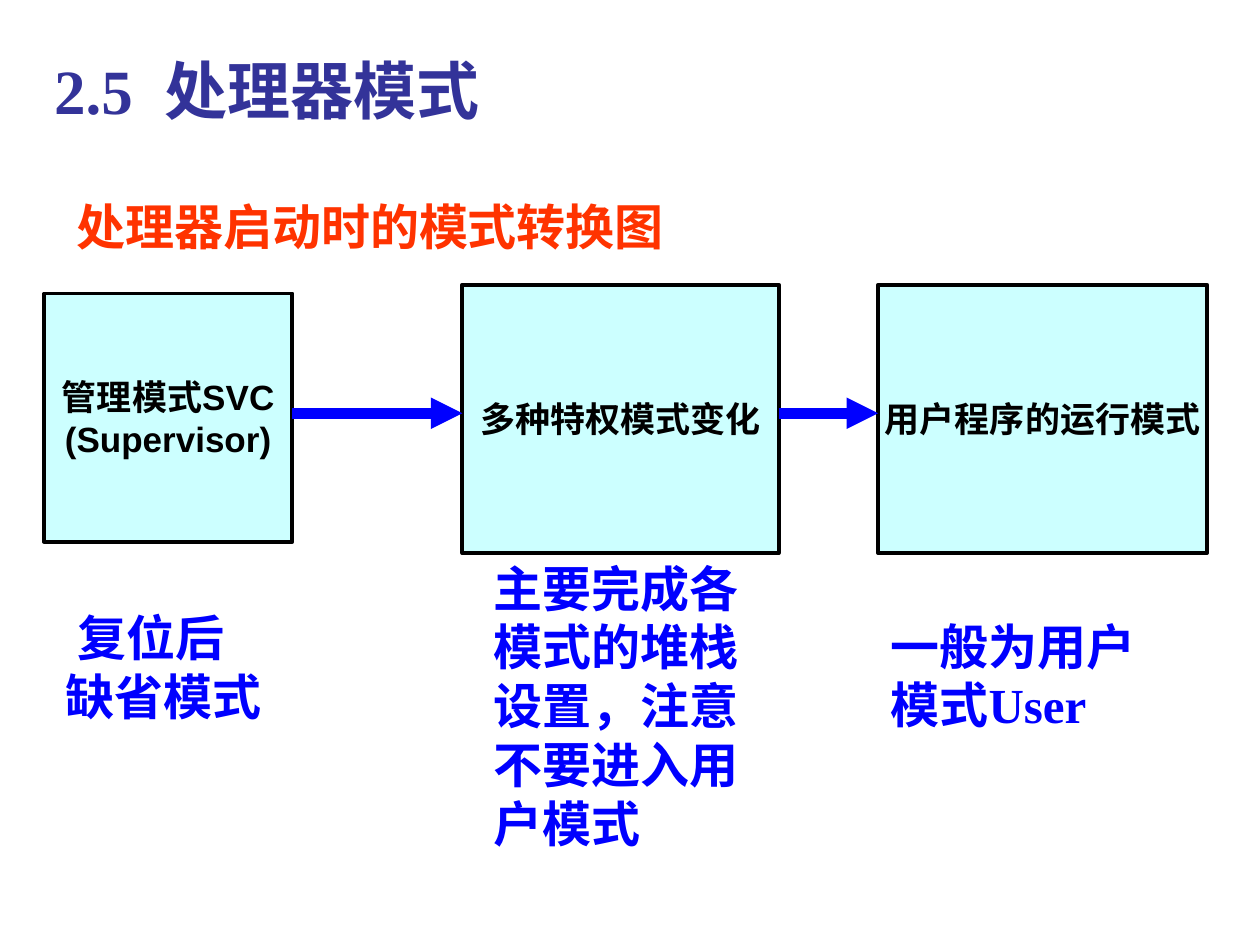
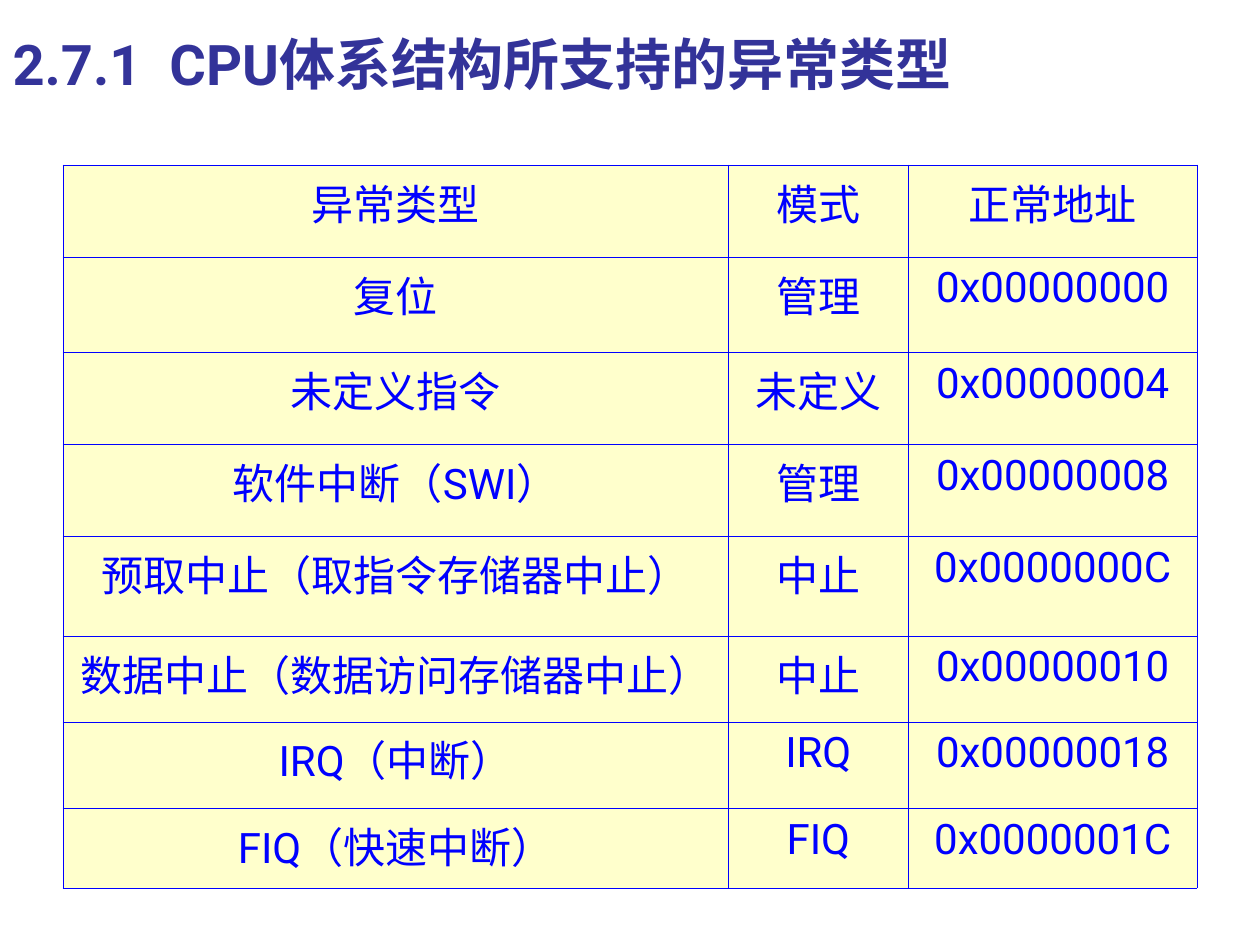
import pptx
import pptx.util
import pptx.dml.color
import pptx.enum.lang
import pptx.enum.shapes
import pptx.enum.text
import pptx.oxml
import pptx.oxml.ns
import pptx.oxml.xmlchemy

Inches = pptx.util.Inches
Pt = pptx.util.Pt
ALIGN = pptx.enum.text.PP_ALIGN
ANCHOR = pptx.enum.text.MSO_ANCHOR

# Shared colours
TITLE_COLOUR = "333399"
BLUE = "0000FF"
RED = "FF3300"
BLACK = "000000"
BOX_FILL = "CCFFFF"
CELL_FILL = "FFFFCC"

# Slide 1: start-up modes
MODES_TITLE = "2.5  处理器模式"
MODES_HEADING = "处理器启动时的模式转换图"
MODE_BOXES = [  # left, top, width, height, lines
    (0.35, 2.33, 1.97, 1.97, ["管理模式SVC", "(Supervisor)"]),
    (3.67, 2.26, 2.51, 2.13, ["多种特权模式变化"]),
    (6.97, 2.26, 2.61, 2.13, ["用户程序的运行模式"]),
]
MODE_NOTES = [  # left, top, width, height, lines, first line indent
    (0.42, 4.77, 1.81, 1.04, ["复位后", "缺省模式"], 0.1),
    (3.82, 4.38, 2.21, 2.44, ["主要完成各模式的堆栈设置，注意不要进入用户模式"], 0),
    (6.97, 4.84, 2.52, 1.04, ["一般为用户模式User"], 0),
]
ARROW_Y = 3.28

# Slide 2: exception types
EXCEPTIONS_TITLE = "2.7.1  CPU体系结构所支持的异常类型"
EXCEPTIONS = [
    ("异常类型", "模式", "正常地址"),
    ("复位", "管理", "0x00000000"),
    ("未定义指令", "未定义", "0x00000004"),
    ("软件中断（SWI）", "管理", "0x00000008"),
    ("预取中止（取指令存储器中止）", "中止", "0x0000000C"),
    ("数据中止（数据访问存储器中止）", "中止", "0x00000010"),
    ("IRQ（中断）", "IRQ", "0x00000018"),
    ("FIQ（快速中断）", "FIQ", "0x0000001C"),
]
COLUMN_WIDTHS = [5.28, 1.43, 2.29]
ROW_HEIGHTS = [0.73, 0.76, 0.73, 0.73, 0.79, 0.68, 0.69, 0.63]


def colour(hex_string):
    return pptx.dml.color.RGBColor.from_string(hex_string)


def write(frame, lines, size, font, text_colour, bold=True, align=ALIGN.LEFT,
          anchor=ANCHOR.TOP, wrap=True, first_indent=0):
    """Fill a text frame with one paragraph per line."""
    frame.word_wrap = wrap
    frame.vertical_anchor = anchor
    for index, line in enumerate(lines):
        paragraph = frame.paragraphs[0] if index == 0 else frame.add_paragraph()
        paragraph.alignment = align
        if index == 0 and first_indent:
            paragraph._p.get_or_add_pPr().set("indent", str(Inches(first_indent)))
        run = paragraph.add_run()
        run.text = line
        run.font.size = Pt(size)
        run.font.name = font
        run.font.bold = bold
        run.font.color.rgb = colour(text_colour)
        run.font.language_id = pptx.enum.lang.MSO_LANGUAGE_ID.SIMPLIFIED_CHINESE


def add_titled_slide(presentation, title, position, size, font):
    slide = presentation.slides.add_slide(presentation.slide_layouts[5])
    shape = slide.shapes.title
    shape.left, shape.top, shape.width, shape.height = map(Inches, position)
    shape.text_frame.auto_size = pptx.enum.text.MSO_AUTO_SIZE.NONE
    write(shape.text_frame, [title], size, font, TITLE_COLOUR, anchor=ANCHOR.MIDDLE)
    return slide


def add_text(slide, position, lines, **text_format):
    shape = slide.shapes.add_textbox(*map(Inches, position))
    write(shape.text_frame, lines, **text_format)


def add_box(slide, position, lines):
    shape = slide.shapes.add_shape(
        pptx.enum.shapes.MSO_SHAPE.RECTANGLE, *map(Inches, position))
    shape.shadow.inherit = False
    shape.fill.solid()
    shape.fill.fore_color.rgb = colour(BOX_FILL)
    shape.line.color.rgb = colour(BLACK)
    shape.line.width = Pt(2.25)
    write(shape.text_frame, lines, 20, "Arial", BLACK, align=ALIGN.CENTER,
          anchor=ANCHOR.MIDDLE, wrap=False)


def add_arrow(slide, start, end, y):
    arrow = slide.shapes.add_connector(
        pptx.enum.shapes.MSO_CONNECTOR.STRAIGHT, *map(Inches, (start, y, end, y)))
    arrow.line.color.rgb = colour(BLUE)
    arrow.line.width = Pt(6)
    namespace = pptx.oxml.ns.nsdecls("a")
    arrow.line._get_or_add_ln().append(
        pptx.oxml.parse_xml(f'<a:tailEnd {namespace} type="triangle"/>'))
    arrow._element.spPr.append(pptx.oxml.parse_xml(f"<a:effectLst {namespace}/>"))


def style_cell(cell):
    """Give a cell thin blue borders and a pale fill."""
    properties = cell._tc.get_or_add_tcPr()
    for side in ("lnL", "lnR", "lnT", "lnB"):
        properties.append(pptx.oxml.parse_xml(
            f'<a:{side} {pptx.oxml.ns.nsdecls("a")} w="{Pt(0.45)}"><a:solidFill>'
            f'<a:srgbClr val="{BLUE}"/></a:solidFill></a:{side}>'))
    cell.fill.solid()
    cell.fill.fore_color.rgb = colour(CELL_FILL)


def build_modes_slide(presentation):
    slide = add_titled_slide(presentation, MODES_TITLE, (0.33, 0.25, 7.83, 0.92),
                             36, "Times New Roman")
    add_text(slide, (0.51, 1.51, 7.64, 0.57), [MODES_HEADING],
             size=28, font="Arial", text_colour=RED)
    for *position, lines in MODE_BOXES:
        add_box(slide, position, lines)
    for *position, lines, indent in MODE_NOTES:
        add_text(slide, position, lines, size=28, font="Times New Roman",
                 text_colour=BLUE, first_indent=indent)
    # Each arrow runs from the right edge of a box to the next box
    for box, next_box in zip(MODE_BOXES, MODE_BOXES[1:]):
        add_arrow(slide, box[0] + box[2], next_box[0], ARROW_Y)


def build_exceptions_slide(presentation):
    slide = add_titled_slide(presentation, EXCEPTIONS_TITLE, (0, 0, 8.52, 1),
                             32, "Roboto")
    table = slide.shapes.add_table(
        len(EXCEPTIONS), len(COLUMN_WIDTHS), Inches(0.5), Inches(1.31),
        Inches(sum(COLUMN_WIDTHS)), Inches(sum(ROW_HEIGHTS))).table
    table.first_row = table.horz_banding = False
    for column, width in zip(table.columns, COLUMN_WIDTHS):
        column.width = Inches(width)
    for row, height, texts in zip(table.rows, ROW_HEIGHTS, EXCEPTIONS):
        row.height = Inches(height)
        for cell, text in zip(row.cells, texts):
            style_cell(cell)
            write(cell.text_frame, [text], 24, "Roboto", BLUE, bold=False,
                  align=ALIGN.CENTER)


def main():
    presentation = pptx.Presentation()
    presentation.slide_width = Inches(10)
    presentation.slide_height = Inches(7.5)
    build_modes_slide(presentation)
    build_exceptions_slide(presentation)
    presentation.save("out.pptx")


if __name__ == "__main__":
    main()
